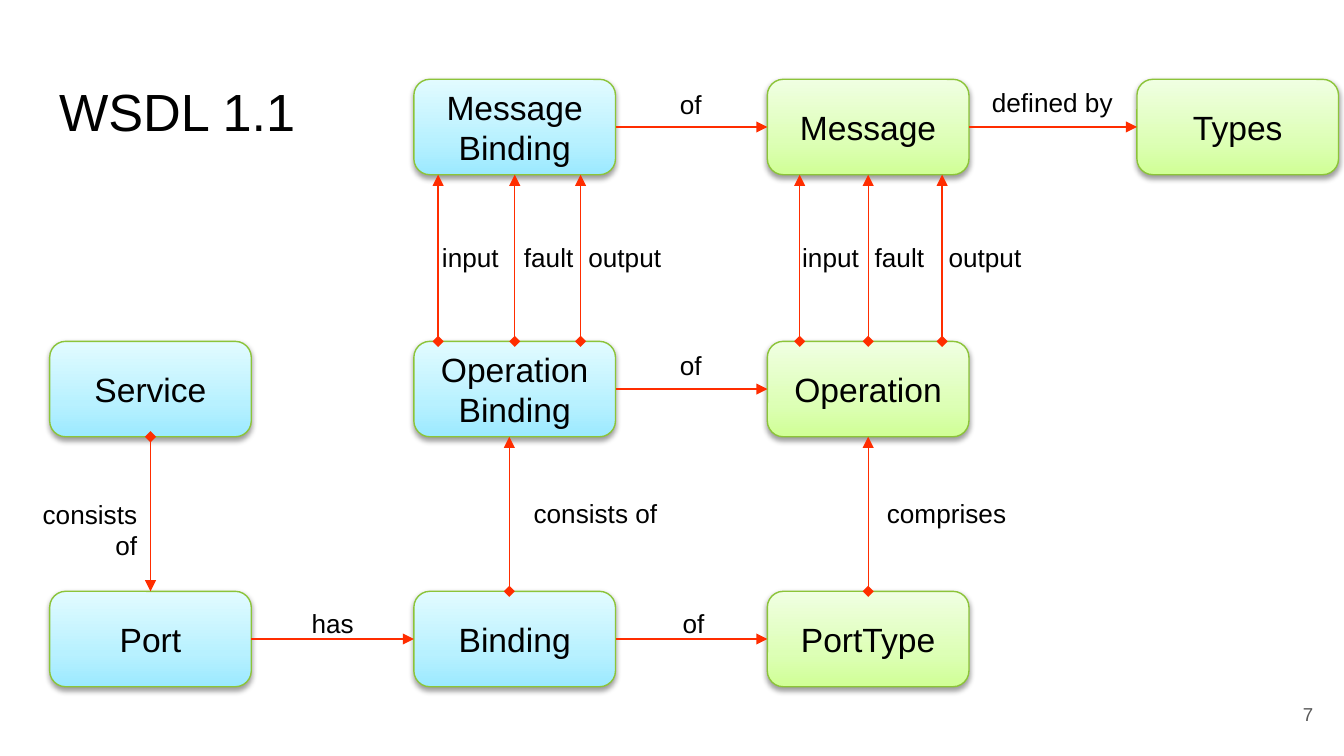
import copy
from dataclasses import dataclass

import pptx
import pptx.dml.color
import pptx.enum.shapes
import pptx.enum.text
import pptx.oxml
import pptx.oxml.ns
import pptx.util
from pptx.util import Inches

COLORS = {
    "text": "000000",
    "page number": "595959",
    "border": "8CC439",
    "arrow": "FF2D00",
}
GRADIENTS = {
    "blue": ((0, "9BE9FF"), (0.35, "B8F1FF"), (1, "E2FBFF")),
    "green": ((0, "D0FF96"), (0.35, "DDFFB6"), (1, "F0FFE2")),
}
FONT = "Arial"
SLIDE_W = Inches(10)
SLIDE_H = SLIDE_W * 9 // 16
BOX_W, BOX_H = 1.5, 0.71
LABEL_H = 0.34
COLUMNS = (0.37, 3.08, 5.71, 8.46)
ROWS = (0.59, 2.54, 4.4)
ALIGN = pptx.enum.text.PP_ALIGN
ANCHOR = pptx.enum.text.MSO_ANCHOR


@dataclass
class Node:
    name: str
    column: int
    row: int
    scheme: str


@dataclass
class Arrow:
    start: tuple[float, float]
    end: tuple[float, float]
    diamond: bool = False


@dataclass
class Label:
    text: str
    left: float
    top: float
    width: float
    align: ALIGN = ALIGN.CENTER


NODES = (
    Node("Service", 0, 1, "blue"),
    Node("Port", 0, 2, "blue"),
    Node("Message Binding", 1, 0, "blue"),
    Node("Operation Binding", 1, 1, "blue"),
    Node("Binding", 1, 2, "blue"),
    Node("Message", 2, 0, "green"),
    Node("Operation", 2, 1, "green"),
    Node("PortType", 2, 2, "green"),
    Node("Types", 3, 0, "green"),
)


def across(row: int, column: int) -> Arrow:
    """Arrow from a box to its right-hand neighbour."""
    y = ROWS[row] + BOX_H / 2
    return Arrow((COLUMNS[column] + BOX_W, y), (COLUMNS[column + 1], y))


def upward(x: float, row: int) -> Arrow:
    """Arrow from the top of a row to the bottom of the row above."""
    return Arrow((x, ROWS[row]), (x, ROWS[row - 1] + BOX_H), diamond=True)


ARROWS = (
    Arrow((1.12, ROWS[1] + BOX_H), (1.12, ROWS[2]), diamond=True),
    *(across(row, column) for row, column in
      ((2, 0), (2, 1), (1, 1), (0, 1), (0, 2))),
    *(upward(x, 1) for x in (3.26, 3.83, 4.32, 5.95, 6.46, 7.01)),
    *(upward(x, 2) for x in (3.79, 6.46)),
)
LABELS = (
    Label("consists of", 0.05, 3.66, 1.07, ALIGN.RIGHT),
    Label("consists of", 3.81, 3.65, 1.18, ALIGN.RIGHT),
    Label("comprises", 6.5, 3.65, 1.18, ALIGN.LEFT),
    Label("has", 1.87, 4.47, 1.21),
    Label("of", 4.57, 4.47, 1.18),
    Label("of", 4.55, 2.55, 1.18),
    Label("of", 4.55, 0.61, 1.18),
    Label("defined by", 7.24, 0.59, 1.18),
    Label("input", 3.17, 1.75, 0.64, ALIGN.RIGHT),
    Label("fault", 3.8, 1.75, 0.64, ALIGN.LEFT),
    Label("output", 4.28, 1.75, 0.87, ALIGN.LEFT),
    Label("input", 5.85, 1.75, 0.64, ALIGN.RIGHT),
    Label("fault", 6.41, 1.75, 0.64, ALIGN.LEFT),
    Label("output", 6.96, 1.75, 0.87, ALIGN.LEFT),
)


def rgb(hex_color: str) -> pptx.dml.color.RGBColor:
    return pptx.dml.color.RGBColor.from_string(hex_color)


def element(xml: str):
    """Parse an element, adding the DrawingML namespace to its tag."""
    tag, rest = xml.split(" ", 1)
    return pptx.oxml.parse_xml(f"{tag} {pptx.oxml.ns.nsdecls('a')} {rest}")


def write(frame, text: str, size: float, align: ALIGN, anchor: ANCHOR,
          color: str = "text", inset: float = 0.05) -> None:
    frame.text = text
    frame.word_wrap = True
    frame.auto_size = pptx.enum.text.MSO_AUTO_SIZE.NONE
    frame.vertical_anchor = anchor
    frame.margin_left = frame.margin_right = Inches(0.1)
    frame.margin_top = frame.margin_bottom = Inches(inset)
    paragraph = frame.paragraphs[0]
    paragraph.alignment = align
    paragraph.font.name = FONT
    paragraph.font.size = pptx.util.Pt(size)
    paragraph.font.color.rgb = rgb(COLORS[color])


def draw_node(slide, node: Node) -> None:
    box = slide.shapes.add_shape(
        pptx.enum.shapes.MSO_SHAPE.ROUNDED_RECTANGLE,
        Inches(COLUMNS[node.column]), Inches(ROWS[node.row]),
        Inches(BOX_W), Inches(BOX_H))
    box.fill.gradient()
    box.fill.gradient_angle = 90
    stop_list = box._element.spPr.find(".//" + pptx.oxml.ns.qn("a:gsLst"))
    stop_list.append(copy.deepcopy(stop_list[-1]))
    for stop, (position, color) in zip(box.fill.gradient_stops,
                                       GRADIENTS[node.scheme]):
        stop.position = position
        stop.color.rgb = rgb(color)
    box.line.color.rgb = rgb(COLORS["border"])
    box.line.width = pptx.util.Pt(0.75)
    box.shadow.inherit = False
    effects = box._element.spPr.find(pptx.oxml.ns.qn("a:effectLst"))
    effects.append(element(
        f'<a:outerShdw blurRad="{pptx.util.Pt(3.1)}" '
        f'dist="{pptx.util.Pt(1.6)}" dir="5400000" rotWithShape="0">'
        '<a:srgbClr val="000000"><a:alpha val="38000"/></a:srgbClr>'
        '</a:outerShdw>'))
    write(box.text_frame, node.name, 18, ALIGN.CENTER, ANCHOR.MIDDLE)


def draw_arrow(slide, arrow: Arrow) -> None:
    connector = slide.shapes.add_connector(
        pptx.enum.shapes.MSO_CONNECTOR.STRAIGHT,
        *map(Inches, (*arrow.start, *arrow.end)))
    connector.line.color.rgb = rgb(COLORS["arrow"])
    connector.line.width = pptx.util.Pt(0.75)
    line = connector.line._get_or_add_ln()
    if arrow.diamond:
        line.append(element('<a:headEnd type="diamond"/>'))
    line.append(element('<a:tailEnd type="triangle"/>'))
    connector._element.spPr.append(element("<a:effectLst />"))


def draw_label(slide, label: Label) -> None:
    box = slide.shapes.add_textbox(*map(
        Inches, (label.left, label.top, label.width, LABEL_H)))
    write(box.text_frame, label.text, 14, label.align, ANCHOR.TOP)


def main() -> None:
    deck = pptx.Presentation()
    deck.slide_width, deck.slide_height = SLIDE_W, SLIDE_H
    slide = deck.slides.add_slide(deck.slide_layouts.get_by_name("Title Only"))

    title = slide.shapes.title
    title.left, title.top = Inches(0.34), Inches(0.49)
    title.width, title.height = Inches(9.32), Inches(0.63)
    write(title.text_frame, "WSDL 1.1", 28, ALIGN.LEFT, ANCHOR.TOP, inset=0.1)

    page_number = slide.shapes.add_textbox(
        *map(Inches, (9.27, 5.1, 0.6, 0.43)))
    write(page_number.text_frame, "7", 10, ALIGN.RIGHT, ANCHOR.MIDDLE,
          "page number", inset=0.1)

    for node in NODES:
        draw_node(slide, node)
    for arrow in ARROWS:
        draw_arrow(slide, arrow)
    for label in LABELS:
        draw_label(slide, label)
    deck.save("out.pptx")


if __name__ == "__main__":
    main()
